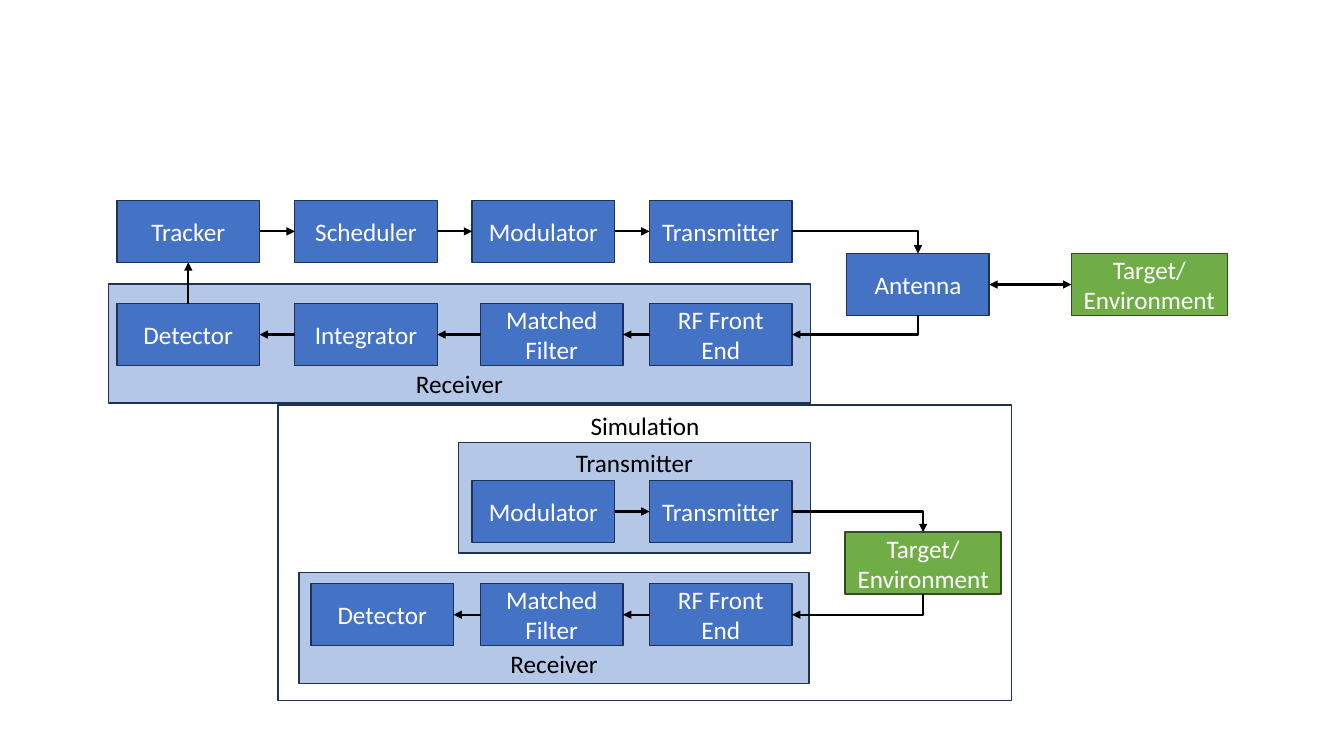
import lxml.etree
import pptx
import pptx.util
import pptx.dml.color
import pptx.enum.shapes
import pptx.enum.text
import pptx.oxml.ns
from pptx.util import Cm

TOP, BOTTOM = "top", "bottom"
FONT, FONT_SIZE = "Calibri", 18
BLUE, GREEN, PALE, WHITE, BLACK = "4472C4", "70AD47", "B4C7E7", "FFFFFF", "000000"
NAVY, DARK_GREEN = "1E3256", "314C1F"

FRAMES = [
    ("Simulation", 7.01, 10.21, 18.49, 7.44, WHITE, TOP),
    ("Transmitter", 11.56, 11.15, 8.86, 2.79, PALE, TOP),
    ("Receiver", 2.74, 7.16, 17.68, 3.0, PALE, BOTTOM),
    ("Receiver", 7.54, 14.43, 12.85, 2.79, PALE, BOTTOM),
]

BLOCK_HEIGHT, BLOCK_WIDTH, TARGET_WIDTH = 1.56, 3.59, 3.93
ROWS = [
    (5.05, [("tracker", "Tracker", 2.95), ("scheduler", "Scheduler", 7.43),
            ("modulator", "Modulator", 11.9), ("transmitter", "Transmitter", 16.37)]),
    (6.39, [("antenna", "Antenna", 21.34), ("target", "Target/ Environment", 27.0)]),
    (7.65, [("detector", "Detector", 2.95), ("integrator", "Integrator", 7.43),
            ("filter", "Matched Filter", 12.11), ("front end", "RF Front End", 16.37)]),
    (12.11, [("sim modulator", "Modulator", 11.9), ("sim transmitter", "Transmitter", 16.37)]),
    (13.41, [("sim target", "Target/ Environment", 21.3)]),
    (14.71, [("sim detector", "Detector", 7.84), ("sim filter", "Matched Filter", 12.11),
             ("sim front end", "RF Front End", 16.37)]),
]

SITES = {"top": 0, "left": 1, "bottom": 2, "right": 3}
CHAINS = [
    ("right", "left", ["tracker", "scheduler", "modulator", "transmitter"]),
    ("right", "left", ["sim modulator", "sim transmitter"]),
    ("left", "right", ["front end", "filter", "integrator", "detector"]),
    ("left", "right", ["sim front end", "sim filter", "sim detector"]),
    ("top", "bottom", ["detector", "tracker"]),
    ("right", "top", ["transmitter", "antenna"]),
    ("bottom", "right", ["antenna", "front end"]),
    ("right", "top", ["sim transmitter", "sim target"]),
    ("bottom", "right", ["sim target", "sim front end"]),
]


def color(value):
    return pptx.dml.color.RGBColor.from_string(value)


def add_box(slide, text, left, top, width, height, fill, line, text_color, anchor):
    shape = slide.shapes.add_shape(
        pptx.enum.shapes.MSO_SHAPE.RECTANGLE, Cm(left), Cm(top), Cm(width), Cm(height))
    shape.shadow.inherit = False
    shape.fill.solid()
    shape.fill.fore_color.rgb = color(fill)
    shape.line.color.rgb = color(line)
    shape.line.width = pptx.util.Pt(1)
    frame = shape.text_frame
    frame.word_wrap = True
    frame.vertical_anchor = anchor
    paragraph = frame.paragraphs[0]
    paragraph.alignment = pptx.enum.text.PP_ALIGN.CENTER
    run = paragraph.add_run()
    run.text = text
    run.font.name = FONT
    run.font.size = pptx.util.Pt(FONT_SIZE)
    run.font.color.rgb = color(text_color)
    return shape


def bend(connector, start_side):
    properties = connector._element.spPr
    properties.find(pptx.oxml.ns.qn("a:prstGeom")).set("prst", "bentConnector2")
    if start_side == "bottom":
        left, top, width, height = connector.left, connector.top, connector.width, connector.height
        transform = properties.find(pptx.oxml.ns.qn("a:xfrm"))
        transform.attrib.pop("flipH", None)
        transform.set("rot", str(90 * 60000))
        connector.left = left + (width - height) // 2
        connector.top = top + (height - width) // 2
        connector.width, connector.height = height, width


def add_arrow(slide, start, start_side, end, end_side, both_ways=False):
    kinds = pptx.enum.shapes.MSO_CONNECTOR
    straight = {start_side, end_side} in ({"left", "right"}, {"top", "bottom"})
    connector = slide.shapes.add_connector(
        kinds.STRAIGHT if straight else kinds.ELBOW, 0, 0, 0, 0)
    connector.begin_connect(start, SITES[start_side])
    connector.end_connect(end, SITES[end_side])
    if not straight:
        bend(connector, start_side)
    connector.line.color.rgb = color(BLACK)
    connector.line.width = pptx.util.Pt(1.5)
    properties = connector._element.spPr
    line = properties.find(pptx.oxml.ns.qn("a:ln"))
    for tag in ["a:headEnd", "a:tailEnd"] if both_ways else ["a:tailEnd"]:
        lxml.etree.SubElement(line, pptx.oxml.ns.qn(tag), type="triangle")
    lxml.etree.SubElement(properties, pptx.oxml.ns.qn("a:effectLst"))


def main():
    presentation = pptx.Presentation()
    presentation.slide_width, presentation.slide_height = Cm(33.87), Cm(19.05)
    slide = presentation.slides.add_slide(presentation.slide_layouts[6])
    anchors = pptx.enum.text.MSO_ANCHOR

    for text, left, top, width, height, fill, side in FRAMES:
        anchor = anchors.TOP if side == TOP else anchors.BOTTOM
        add_box(slide, text, left, top, width, height, fill, NAVY, BLACK, anchor)

    blocks = {}
    for top, row in ROWS:
        for name, text, left in row:
            is_target = name.endswith("target")
            width = TARGET_WIDTH if is_target else BLOCK_WIDTH
            fill, line = (GREEN, DARK_GREEN) if is_target else (BLUE, NAVY)
            blocks[name] = add_box(slide, text, left, top, width, BLOCK_HEIGHT,
                                   fill, line, WHITE, anchors.MIDDLE)

    for start_side, end_side, names in CHAINS:
        for start, end in zip(names, names[1:]):
            add_arrow(slide, blocks[start], start_side, blocks[end], end_side)
    add_arrow(slide, blocks["antenna"], "right", blocks["target"], "left", both_ways=True)

    presentation.save("out.pptx")


if __name__ == "__main__":
    main()
